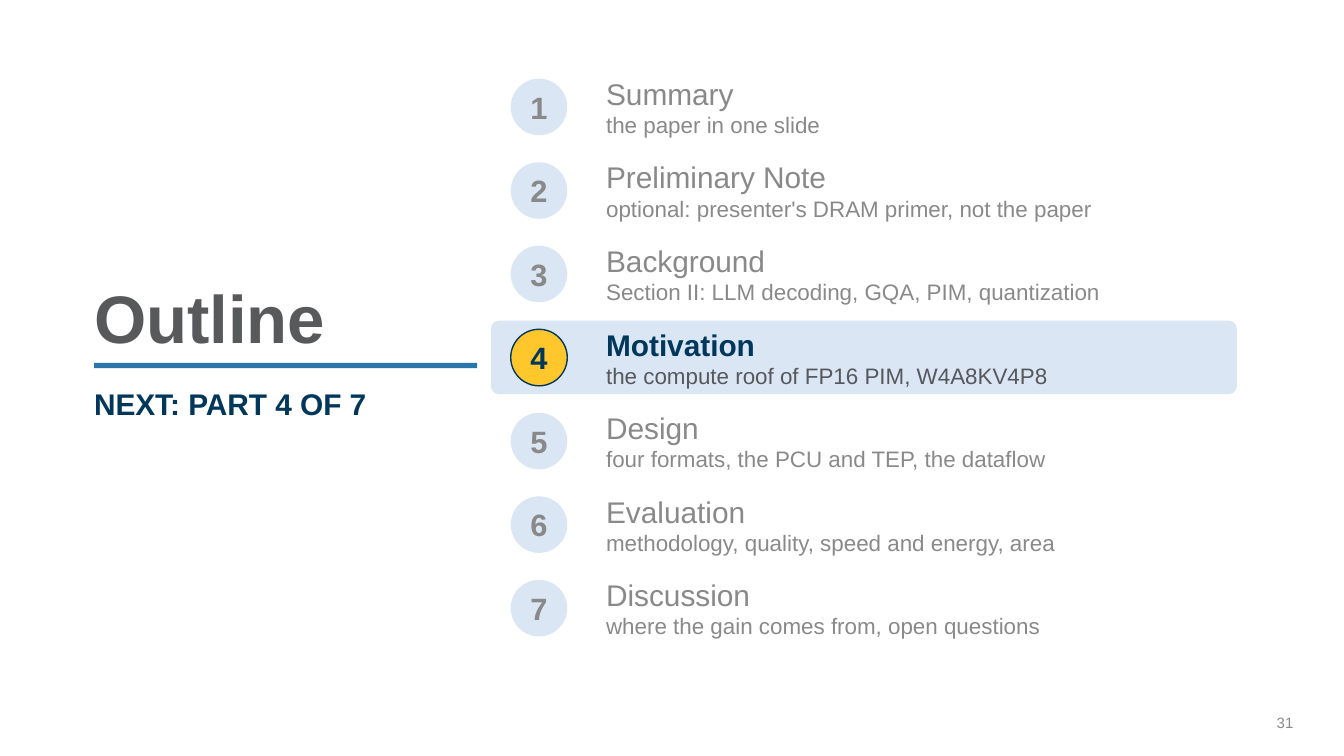
from pptx import Presentation
from pptx.dml.color import RGBColor
from pptx.enum import shapes, text
from pptx.util import Pt

COLORS = {
    "heading": "58595B",
    "rule": "2C75AC",
    "navy": "00375B",
    "pale": "DAE6F4",
    "gold": "FFC72B",
    "muted": "898989",
    "detail": "57585B",
}

PARTS = [
    ("Summary", "the paper in one slide"),
    ("Preliminary Note", "optional: presenter's DRAM primer, not the paper"),
    ("Background", "Section II: LLM decoding, GQA, PIM, quantization"),
    ("Motivation", "the compute roof of FP16 PIM, W4A8KV4P8"),
    ("Design", "four formats, the PCU and TEP, the dataflow"),
    ("Evaluation", "methodology, quality, speed and energy, area"),
    ("Discussion", "where the gain comes from, open questions"),
]
CURRENT_PART = 4

FIRST_CENTER, PITCH = 57.3, 44.75
BADGE_SIZE = 30.3
ENTRY_HEIGHT = 34
HIGHLIGHT_HEIGHT = 39.4


def color(name):
    return RGBColor.from_string(COLORS[name])


def set_frame(shape, anchor, wrap=True):
    values = dict(margin_left=0, margin_top=0, margin_right=0, margin_bottom=0,
                  word_wrap=wrap, auto_size=text.MSO_AUTO_SIZE.NONE,
                  vertical_anchor=anchor)
    for name, value in values.items():
        setattr(shape.text_frame, name, value)


def write(paragraph, words, size, color_name, bold=False,
          align=text.PP_ALIGN.LEFT, spacing=None):
    run = paragraph.add_run()
    run.text = words
    for name, value in dict(name="Arial", size=Pt(size), bold=bold).items():
        setattr(run.font, name, value)
    run.font.color.rgb = color(color_name)
    paragraph.alignment = align
    if spacing:
        paragraph.line_spacing = spacing


def add_text(slide, left, top, width, height, lines,
             anchor=text.MSO_ANCHOR.TOP):
    box = slide.shapes.add_textbox(Pt(left), Pt(top), Pt(width), Pt(height))
    set_frame(box, anchor)
    for index, line in enumerate(lines):
        frame = box.text_frame
        paragraph = frame.add_paragraph() if index else frame.paragraphs[0]
        write(paragraph, **line)


def add_filled(slide, kind, left, top, width, height, fill, line=None):
    shape = slide.shapes.add_shape(kind, Pt(left), Pt(top), Pt(width), Pt(height))
    shape.shadow.inherit = False
    shape.fill.solid()
    shape.fill.fore_color.rgb = color(fill)
    if line:
        shape.line.color.rgb = color(line)
        shape.line.width = Pt(0.75)
    else:
        shape.line.fill.background()
    return shape


def add_title(slide, words):
    title = slide.shapes.title
    for name, value in dict(left=50.4, top=147.6, width=205.2, height=44).items():
        setattr(title, name, Pt(value))
    set_frame(title, text.MSO_ANCHOR.BOTTOM)
    write(title.text_frame.paragraphs[0], words, 36, "heading", True, spacing=0.9)


def add_part(slide, number, name, detail):
    center = FIRST_CENTER + (number - 1) * PITCH
    current = number == CURRENT_PART
    main_color = "navy" if current else "muted"

    # Band behind the current part
    if current:
        band = add_filled(slide, shapes.MSO_SHAPE.ROUNDED_RECTANGLE, 263,
                          center - HIGHLIGHT_HEIGHT / 2, 399.6,
                          HIGHLIGHT_HEIGHT, "pale")
        band.adjustments[0] = 0.11

    # Numbered badge
    badge = add_filled(slide, shapes.MSO_SHAPE.OVAL, 273.6,
                       center - BADGE_SIZE / 2, BADGE_SIZE, BADGE_SIZE,
                       "gold" if current else "pale",
                       "navy" if current else None)
    set_frame(badge, text.MSO_ANCHOR.MIDDLE, wrap=False)
    write(badge.text_frame.paragraphs[0], str(number), 16.5, main_color, True,
          text.PP_ALIGN.CENTER)

    # Name and detail
    add_text(slide, 324.7, center - ENTRY_HEIGHT / 2, 334, ENTRY_HEIGHT, [
        dict(words=name, size=16, color_name=main_color, bold=current),
        dict(words=detail, size=12, color_name="detail" if current else "muted"),
    ], text.MSO_ANCHOR.MIDDLE)


def main():
    presentation = Presentation()
    presentation.slide_width, presentation.slide_height = Pt(720), Pt(405)
    slide = presentation.slides.add_slide(presentation.slide_layouts[5])

    # Left column: heading, rule and progress
    add_title(slide, "Outline")
    add_filled(slide, shapes.MSO_SHAPE.RECTANGLE, 50.4, 194.4, 205.2, 2.9, "rule")
    progress = f"NEXT: PART {CURRENT_PART} OF {len(PARTS)}"
    add_text(slide, 50.4, 208.8, 205.2, 21.6, [
        dict(words=progress, size=16, color_name="navy", bold=True, spacing=0.9)])

    # Right column: list of parts
    for number, (name, detail) in enumerate(PARTS, start=1):
        add_part(slide, number, name, detail)

    # Page number
    add_text(slide, 684, 382.5, 36, 10,
             [dict(words="31", size=8, color_name="muted")])

    presentation.save("out.pptx")


if __name__ == "__main__":
    main()
